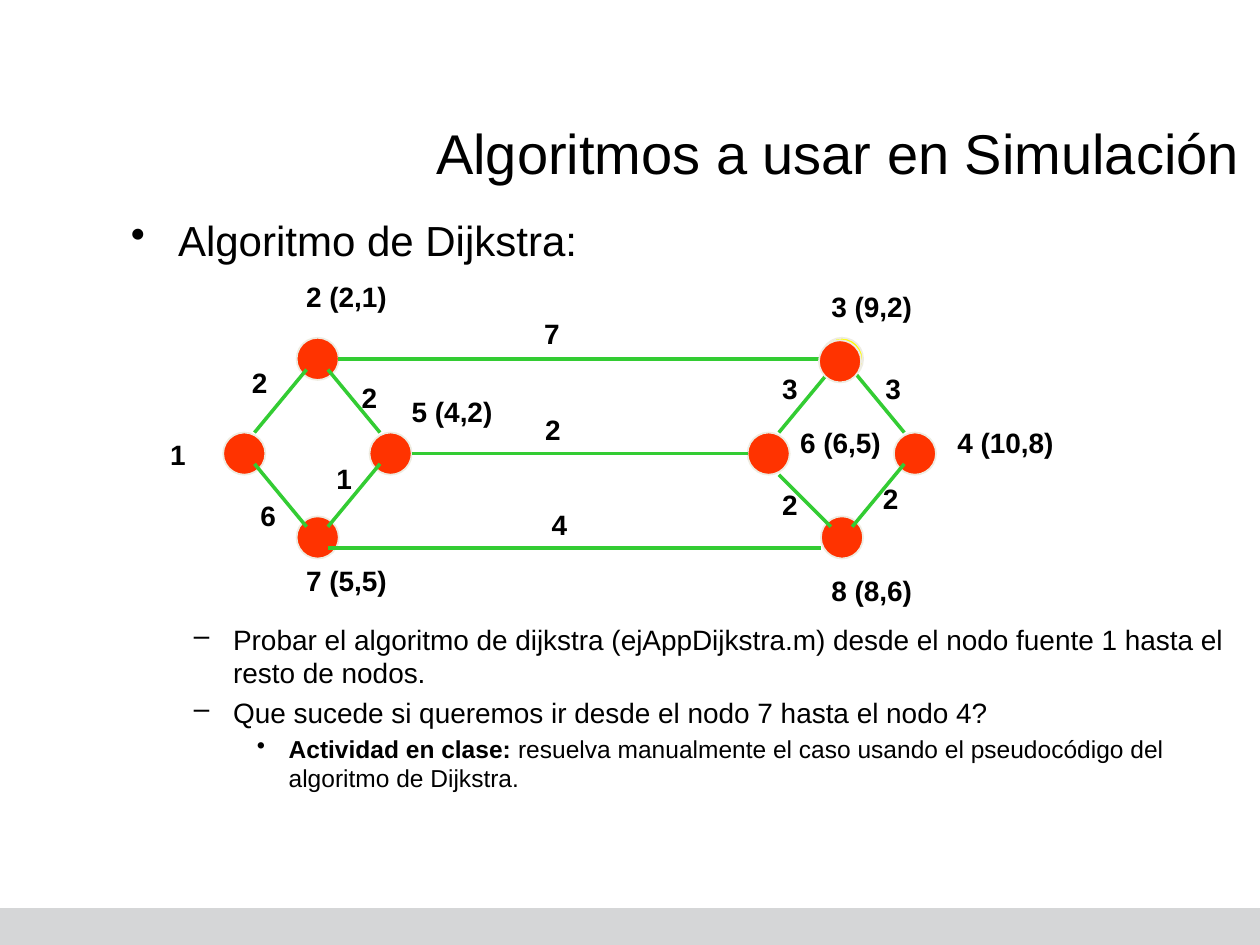
import pptx
import pptx.util
import pptx.dml.color
import pptx.enum.shapes
import pptx.enum.text
import pptx.oxml.ns
import lxml.etree

Cm, Pt = pptx.util.Cm, pptx.util.Pt
RGB = pptx.dml.color.RGBColor
KIND = pptx.enum.shapes.MSO_SHAPE
ALIGN = pptx.enum.text.PP_ALIGN
ANCHOR = pptx.enum.text.MSO_ANCHOR
qn = pptx.oxml.ns.qn

BLACK = RGB(0x00, 0x00, 0x00)
GREY = RGB(0xD5, 0xD6, 0xD7)
RED = RGB(0xFF, 0x33, 0x00)
YELLOW = RGB(0xFF, 0xFF, 0x00)
CREAM = RGB(0xEE, 0xEC, 0xE1)
GREEN = RGB(0x33, 0xCC, 0x33)

deck = pptx.Presentation()
deck.slide_width, deck.slide_height = Cm(25.4), Cm(19.05)
slide = deck.slides.add_slide(deck.slide_layouts[6])
shapes = slide.shapes


def add_text(par, text, size, bold=False):
    run = par.add_run()
    run.text = text
    look = {"name": "Arial", "size": Pt(size), "bold": bold}
    for key, val in look.items():
        setattr(run.font, key, val)
    run.font.color.rgb = BLACK


def add_form(kind, left, top, wide, high, fill, edge=None):
    form = shapes.add_shape(kind, Cm(left), Cm(top), Cm(wide), Cm(high))
    form.shadow.inherit = False
    form.fill.solid()
    form.fill.fore_color.rgb = fill
    if edge is None:
        form.line.fill.background()
    else:
        form.line.color.rgb = edge
        form.line.width = Pt(1)


# Footer band
add_form(KIND.RECTANGLE, 0, 18.31, 25.4, 0.74, GREY)

# Title
frame = shapes.add_textbox(Cm(2.39), Cm(2.11), Cm(22.86), Cm(1.91)).text_frame
for key, val in {"word_wrap": True, "vertical_anchor": ANCHOR.MIDDLE}.items():
    setattr(frame, key, val)
frame.paragraphs[0].alignment = ALIGN.RIGHT
add_text(frame.paragraphs[0], "Algoritmos a usar en Simulación", 32)

# Bulleted text above and below the graph; each level: mark, size, margin, hang
levels = [("•", 24, 0.95, 0.95), ("–", 16, 2.06, 0.79), ("•", 14, 3.18, 0.64)]
blocks = [
    (4.2, 1.2, [(0, "", "Algoritmo de Dijkstra:")]),
    (12.42, 3.8, [
        (1, "", "Probar el algoritmo de dijkstra (ejAppDijkstra.m) desde el nodo "
                "fuente 1 hasta el resto de nodos."),
        (1, "", "Que sucede si queremos ir desde el nodo 7 hasta el nodo 4?"),
        (2, "Actividad en clase: ", "resuelva manualmente el caso usando el "
                                    "pseudocódigo del algoritmo de Dijkstra."),
    ]),
]
for top, high, items in blocks:
    frame = shapes.add_textbox(Cm(2.39), Cm(top), Cm(22.86), Cm(high)).text_frame
    frame.word_wrap = True
    for num, (level, lead, text) in enumerate(items):
        par = frame.add_paragraph() if num else frame.paragraphs[0]
        mark, size, left, hang = levels[level]
        par.level = level
        if num:
            par.space_before = Pt(0.2 * size)
        props = par._p.get_or_add_pPr()
        props.set("marL", str(Cm(left)))
        props.set("indent", str(-Cm(hang)))
        lxml.etree.SubElement(props, qn("a:buChar")).set("char", mark)
        if lead:
            add_text(par, lead, size, True)
        add_text(par, text, size)

# Nodes: two diamonds, the yellow one is mostly covered later
SIZE = 0.85
LEFT, RIGHT = 4.5, 15.07
for base, crest in [(LEFT, RED), (RIGHT, YELLOW)]:
    for step, top, fill in [(0, 8.72, RED), (2.95, 8.72, RED),
                            (1.48, 6.81, crest), (1.48, 10.41, RED)]:
        add_form(KIND.OVAL, base + step, top, SIZE, SIZE, fill, CREAM)

# Edges: four sides of each diamond, then the three long links
edges = []
for base, low in [(LEFT, 9.35), (RIGHT, 9.57)]:
    west, inner, outer, east = [base + step for step in (0.63, 1.68, 2.11, 3.16)]
    edges += [(west, 8.72, inner, 7.45), (outer, 7.45, east, 8.72),
              (west, low, inner, 10.62), (outer, 10.62, east, 9.35)]
edges += [(6.82, 7.24, 16.55, 7.24), (6.61, 11.05, 16.55, 11.05),
          (8.3, 9.14, 15.07, 9.14)]
for ends in edges:
    edge = shapes.add_connector(pptx.enum.shapes.MSO_CONNECTOR.STRAIGHT,
                                *[Cm(end) for end in ends])
    edge.line.color.rgb = GREEN
    edge.line.width = Pt(2)
    lxml.etree.SubElement(edge._element.spPr, qn("a:effectLst"))

# Front node 3
add_form(KIND.OVAL, 16.51, 6.86, SIZE, SIZE, RED, CREAM)

# Node names and edge weights
labels = [
    ("1", 3.18, 8.69), ("2 (2,1)", 5.92, 5.51), ("3 (9,2)", 16.51, 5.72),
    ("4 (10,8)", 19.05, 8.46), ("5 (4,2)", 8.05, 7.82), ("6 (6,5)", 15.88, 8.46),
    ("7 (5,5)", 5.92, 11.23), ("8 (8,6)", 16.51, 11.43),
    ("2", 4.83, 7.24), ("6", 5, 9.93), ("2", 7.04, 7.54), ("1", 6.53, 9.17),
    ("7", 10.72, 6.25), ("2", 10.74, 8.2), ("4", 10.87, 10.11),
    ("3", 17.6, 7.37), ("3", 15.52, 7.37), ("2", 15.52, 9.7), ("2", 17.55, 9.58),
]
widths = {1: 0.82, 7: 2.16, 8: 2.49}
fit = {"word_wrap": False,
       "auto_size": pptx.enum.text.MSO_AUTO_SIZE.SHAPE_TO_FIT_TEXT}
for text, left, top in labels:
    box = shapes.add_textbox(Cm(left), Cm(top), Cm(widths[len(text)]), Cm(0.94))
    for key, val in fit.items():
        setattr(box.text_frame, key, val)
    add_text(box.text_frame.paragraphs[0], text, 16, True)

deck.save("out.pptx")
